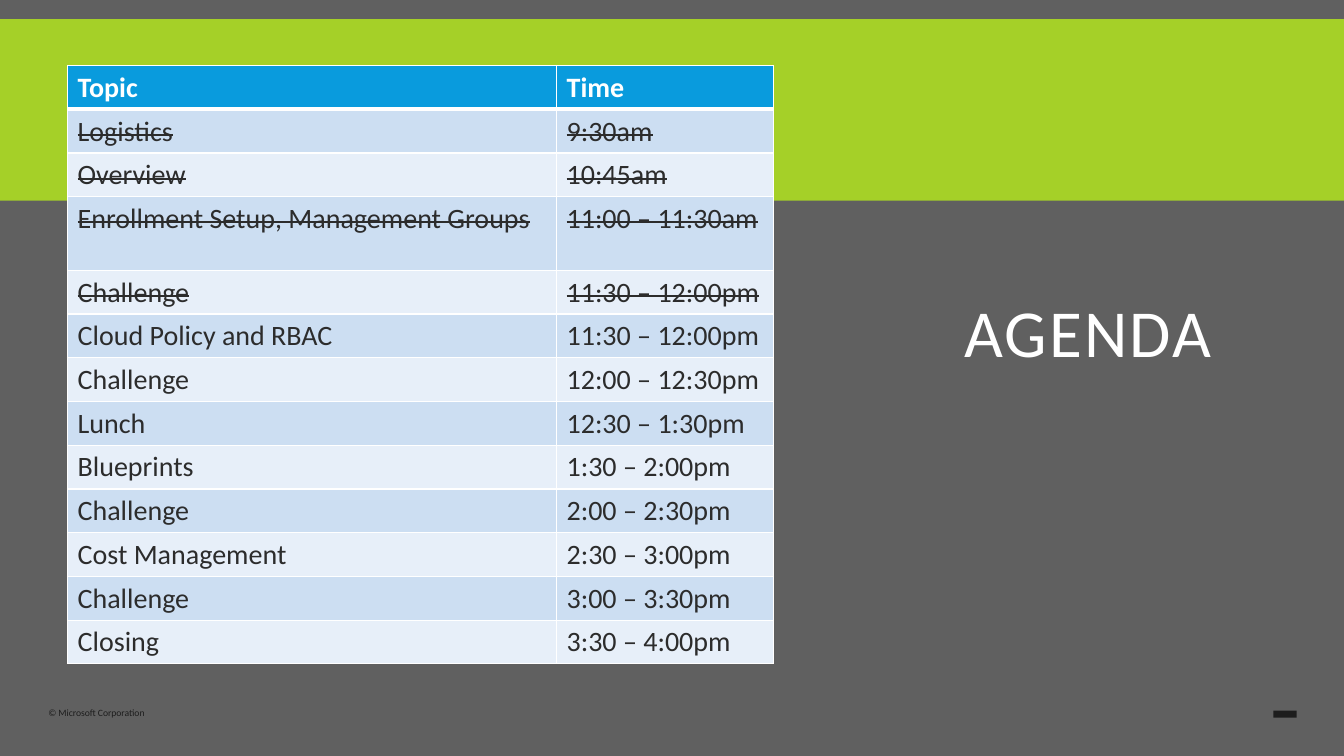
from dataclasses import dataclass

from pptx import Presentation
from pptx.dml.color import RGBColor as Color
from pptx.enum.shapes import MSO_SHAPE as Preset
from pptx.enum.text import MSO_ANCHOR as Anchor, MSO_AUTO_SIZE as AutoSize, PP_ALIGN as Align
from pptx.oxml.ns import qn
from pptx.util import Inches, Pt
from lxml.etree import SubElement


@dataclass(frozen=True)
class Theme:
    font: str = "Calibri"
    background: str = "606060"
    band: str = "A5D028"
    header: str = "099BDD"
    odd_row: str = "CCDEF2"
    even_row: str = "E7EFF9"
    white: str = "FFFFFF"
    table_text: str = "2C2C2C"
    footer: str = "1D1D1D"
    title_size: float = 48
    table_size: float = 20
    footer_size: float = 6.9


AGENDA = [
    ("Logistics", "9:30am"),
    ("Overview", "10:45am"),
    ("Enrollment Setup, Management Groups", "11:00 – 11:30am"),
    ("Challenge", "11:30 – 12:00pm"),
    ("Cloud Policy and RBAC", "11:30 – 12:00pm"),
    ("Challenge", "12:00 – 12:30pm"),
    ("Lunch", "12:30 – 1:30pm"),
    ("Blueprints", "1:30 – 2:00pm"),
    ("Challenge", "2:00 – 2:30pm"),
    ("Cost Management", "2:30 – 3:00pm"),
    ("Challenge", "3:00 – 3:30pm"),
    ("Closing", "3:30 – 4:00pm"),
]
FINISHED_ROWS = 4
TALL_ROW = 3


class SlideBuilder:
    def __init__(self, slide, theme):
        self.slide = slide
        self.theme = theme
        background = slide.background.fill
        background.solid()
        background.fore_color.rgb = Color.from_string(theme.background)

    def style(self, para, size, color, bold=False):
        for span in para.runs:
            span.font.name = self.theme.font
            span.font.size = Pt(size)
            span.font.bold = bold
            span.font.color.rgb = Color.from_string(color)

    def rectangle(self, left, top, width, height, color):
        box = self.slide.shapes.add_shape(
            Preset.RECTANGLE, Inches(left), Inches(top), Inches(width), Inches(height))
        box.shadow.inherit = False
        box.fill.solid()
        box.fill.fore_color.rgb = Color.from_string(color)
        box.line.fill.background()

    def footer(self, text, left, top, width, height):
        box = self.slide.shapes.add_textbox(
            Inches(left), Inches(top), Inches(width), Inches(height))
        frame = box.text_frame
        frame.margin_left = frame.margin_right = frame.margin_top = frame.margin_bottom = 0
        frame.word_wrap = False
        frame.auto_size = AutoSize.SHAPE_TO_FIT_TEXT
        frame.text = text
        para = frame.paragraphs[0]
        para.line_spacing = 0.9
        self.style(para, self.theme.footer_size, self.theme.footer)

    def title(self, text, left, top, width, height):
        box = self.slide.shapes.title
        box.left, box.top = Inches(left), Inches(top)
        box.width, box.height = Inches(width), Inches(height)
        frame = box.text_frame
        frame.text = text
        frame.word_wrap = True
        frame.auto_size = AutoSize.NONE
        frame.vertical_anchor = Anchor.MIDDLE
        para = frame.paragraphs[0]
        para.alignment = Align.CENTER
        para.line_spacing = 0.8
        self.style(para, self.theme.title_size, self.theme.white)
        para.runs[0].font._element.set("spc", "150")

    def borders(self, cell, bottom_width):
        properties = cell._tc.get_or_add_tcPr()
        for side, width in (("L", 1), ("R", 1), ("T", 1), ("B", bottom_width)):
            line = SubElement(properties, qn(f"a:ln{side}"), w=str(Pt(width)))
            fill = SubElement(line, qn("a:solidFill"))
            SubElement(fill, qn("a:srgbClr"), val=self.theme.white)

    def cell(self, cell, text, fill, color, header, struck):
        self.borders(cell, 3 if header else 1)
        cell.fill.solid()
        cell.fill.fore_color.rgb = Color.from_string(fill)
        cell.text = text
        para = cell.text_frame.paragraphs[0]
        self.style(para, self.theme.table_size, color, header)
        if struck:
            para.runs[0].font._element.set("strike", "sngStrike")

    def table(self, rows, left, top, widths, row_height, tall_height):
        heights = [tall_height if i == TALL_ROW else row_height for i in range(len(rows))]
        table = self.slide.shapes.add_table(
            len(rows), len(widths), Inches(left), Inches(top),
            Inches(sum(widths)), Inches(sum(heights))).table
        for column, width in zip(table.columns, widths):
            column.width = Inches(width)
        for i, texts in enumerate(rows):
            table.rows[i].height = Inches(heights[i])
            header = i == 0
            band = self.theme.odd_row if i % 2 else self.theme.even_row
            fill = self.theme.header if header else band
            color = self.theme.white if header else self.theme.table_text
            for j, text in enumerate(texts):
                self.cell(table.cell(i, j), text, fill, color, header,
                          0 < i <= FINISHED_ROWS)


def main():
    deck = Presentation()
    deck.slide_width, deck.slide_height = Inches(13.33), Inches(7.5)
    theme = Theme()
    page = SlideBuilder(deck.slides.add_slide(deck.slide_layouts[5]), theme)
    page.rectangle(0, 0.19, 13.33, 1.8, theme.band)
    page.footer("© Microsoft Corporation", 0.48, 7.03, 1.03, 0.1)
    page.rectangle(12.63, 7.05, 0.23, 0.07, theme.footer)
    page.title("AGENDA", 8.6, 2.4, 4.38, 1.9)
    page.table([("Topic", "Time"), *AGENDA], 0.67, 0.65, (4.85, 2.15), 0.43, 0.73)
    deck.save("out.pptx")


if __name__ == "__main__":
    main()
